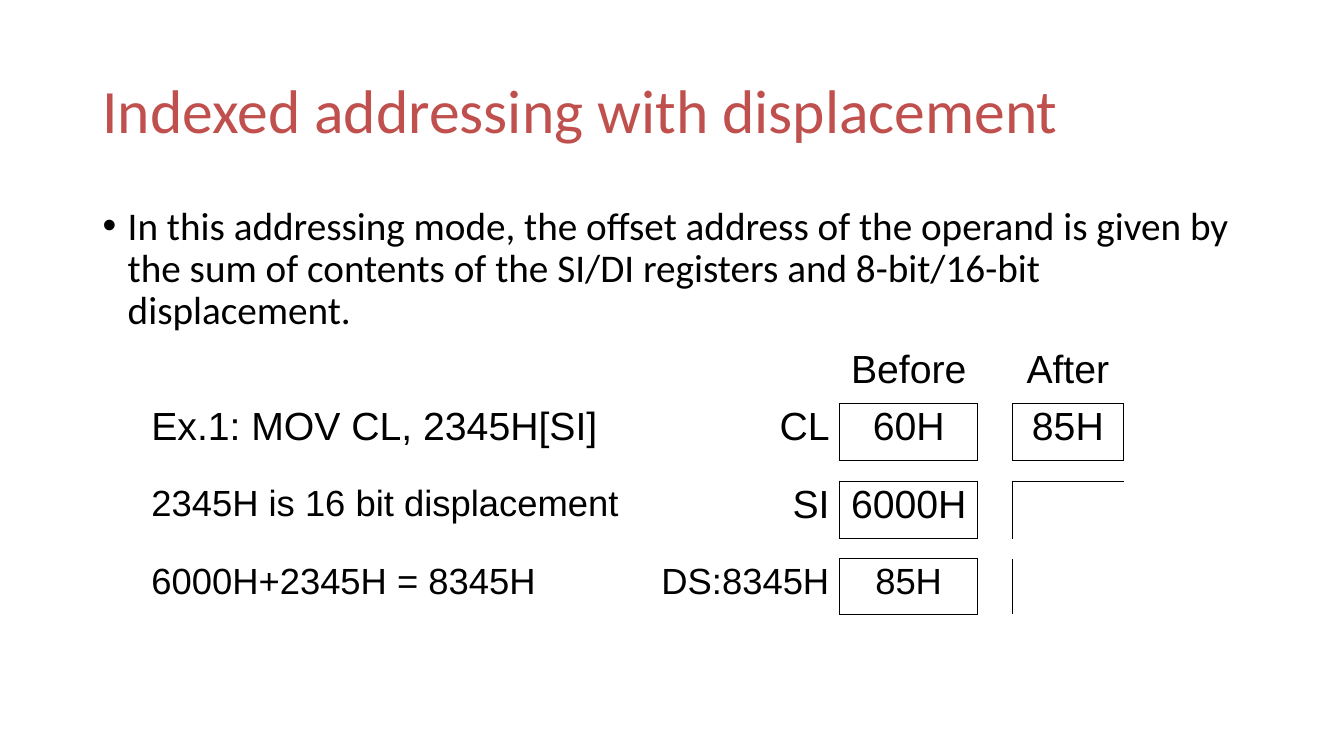
from lxml import etree
from pptx import Presentation
from pptx.dml.color import RGBColor
from pptx.enum.text import MSO_ANCHOR, MSO_AUTO_SIZE, PP_ALIGN
from pptx.oxml.ns import qn
from pptx.util import Cm, Pt

LEFT, CENTER, RIGHT = PP_ALIGN.LEFT, PP_ALIGN.CENTER, PP_ALIGN.RIGHT
TOP, MIDDLE = MSO_ANCHOR.TOP, MSO_ANCHOR.MIDDLE
NO_FIT = MSO_AUTO_SIZE.NONE

RED, BLACK = "C0504D", "000000"
PLAIN_TABLE = "{2D5ABB26-0587-4C30-8999-92F81FD0307C}"
COLUMN_WIDTHS = (12.6, 5, 3.48, 0.86, 2.82)
ROW_HEIGHTS = (1.45, 1.45, 0.51, 1.45, 0.51, 1.4)
ALIGNMENTS = (LEFT, RIGHT, CENTER, CENTER, CENTER)
CELLS = {
    (0, 2): ("Before", 28),
    (0, 4): ("After", 28),
    (1, 0): ("Ex.1: MOV CL, 2345H[SI]", 28),
    (1, 1): ("CL", 28),
    (1, 2): ("60H", 28),
    (1, 4): ("85H", 28),
    (3, 0): ("2345H is 16 bit displacement", 26),
    (3, 1): ("SI", 28),
    (3, 2): ("6000H", 28),
    (5, 0): ("6000H+2345H = 8345H", 26),
    (5, 1): ("DS:8345H", 26),
    (5, 2): ("85H", 26),
}
BOXED = {(1, 2), (1, 4), (3, 2), (5, 2)}
SIDES = {"L": (0, -1), "R": (0, 1), "T": (-1, 0), "B": (1, 0)}


def color(value):
    return RGBColor.from_string(value)


def write(para, text, size, font, value, align, spacing):
    para.alignment = align
    para.line_spacing = spacing
    para.space_before = Pt(0)
    span = para.add_run()
    span.text = text
    span.font.size = Pt(size)
    span.font.name = font
    span.font.color.rgb = color(value)


def fill_placeholder(box, place, text, size, value, anchor):
    box.left, box.top, box.width, box.height = (Cm(length) for length in place)
    frame = box.text_frame
    frame.word_wrap = True
    frame.auto_size = NO_FIT
    frame.vertical_anchor = anchor
    para = frame.paragraphs[0]
    write(para, text, size, "Calibri", value, LEFT, 0.9)
    return para


def add_bullet(para):
    props = para._p.get_or_add_pPr()
    props.set("marL", str(Cm(0.635)))
    props.set("indent", str(-Cm(0.635)))
    etree.SubElement(props, qn("a:buFont"), typeface="Arial")
    etree.SubElement(props, qn("a:buChar"), char="•")


def add_border(cell, side):
    props = cell._tc.get_or_add_tcPr()
    line = etree.SubElement(props, qn(f"a:ln{side}"), w=str(Pt(0.45)))
    solid = etree.SubElement(line, qn("a:solidFill"))
    etree.SubElement(solid, qn("a:srgbClr"), val=BLACK)


def fill_cell(cell, row, column):
    for side, (down, across) in SIDES.items():
        if BOXED & {(row, column), (row + down, column + across)}:
            add_border(cell, side)
    cell.fill.background()
    para = cell.text_frame.paragraphs[0]
    if (row, column) in CELLS:
        text, size = CELLS[row, column]
        write(para, text, size, "Arial", BLACK, ALIGNMENTS[column], 0.93)
    else:
        cell.margin_top = cell.margin_bottom = 0
        etree.SubElement(para._p, qn("a:endParaRPr"), sz="800")


def add_register_table(page):
    box = page.shapes.add_table(
        len(ROW_HEIGHTS), len(COLUMN_WIDTHS), Cm(3.56), Cm(8.71),
        Cm(sum(COLUMN_WIDTHS)), Cm(sum(ROW_HEIGHTS)))
    table = box.table
    table.first_row = table.horz_banding = False
    table._tbl.tblPr.find(qn("a:tableStyleId")).text = PLAIN_TABLE
    for column, width in zip(table.columns, COLUMN_WIDTHS):
        column.width = Cm(width)
    for row, height in zip(table.rows, ROW_HEIGHTS):
        row.height = Cm(height)
    for row in range(len(ROW_HEIGHTS)):
        for column in range(len(COLUMN_WIDTHS)):
            fill_cell(table.cell(row, column), row, column)


def main():
    deck = Presentation()
    deck.slide_width, deck.slide_height = Cm(33.87), Cm(19.05)
    page = deck.slides.add_slide(deck.slide_layouts[1])
    fill_placeholder(
        page.shapes.title, (2.33, 1.01, 29.21, 3.68),
        "Indexed addressing with displacement", 44, RED, MIDDLE)
    para = fill_placeholder(
        page.placeholders[1], (2.33, 5.07, 29.21, 12.09),
        "In this addressing mode, the offset address of the operand is given by "
        "the sum of contents of the SI/DI registers and 8-bit/16-bit displacement.",
        28, BLACK, TOP)
    add_bullet(para)
    add_register_table(page)
    deck.save("out.pptx")


if __name__ == "__main__":
    main()
